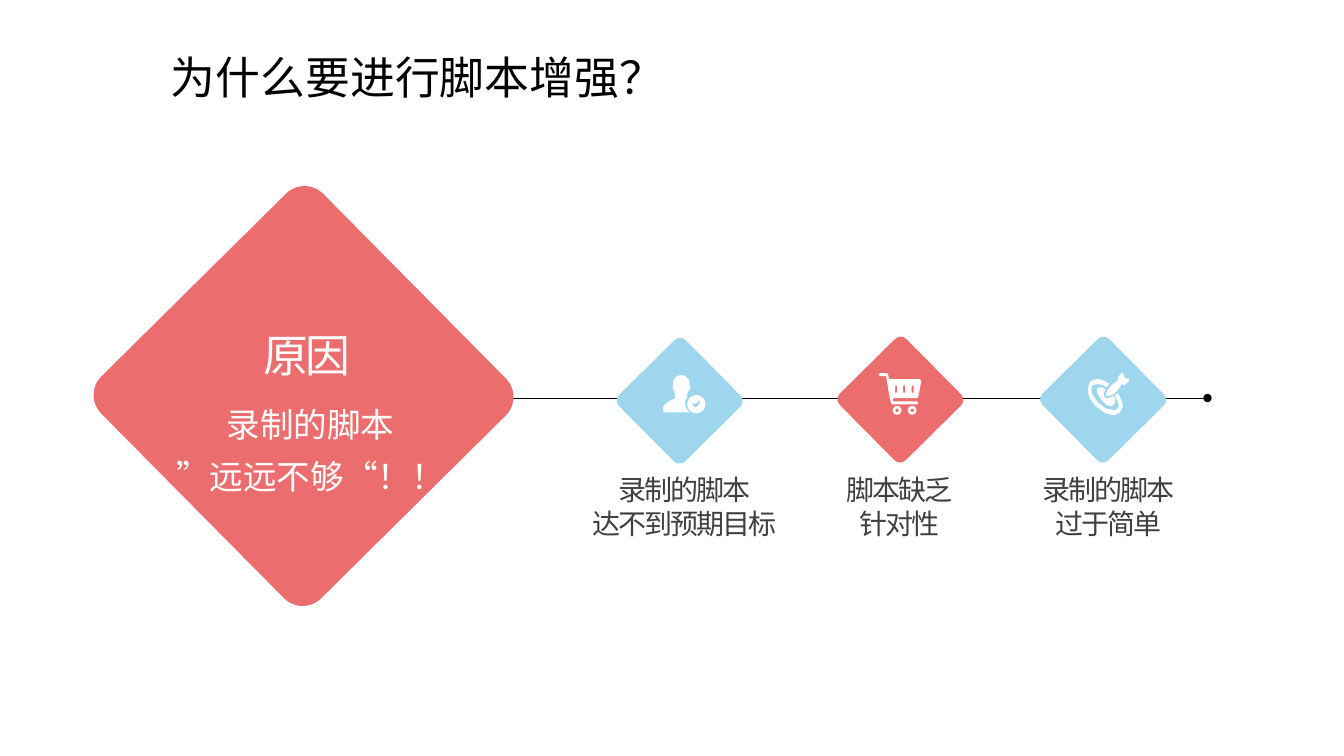
import math

import pptx
import pptx.dml.color
import pptx.enum.shapes
import pptx.enum.text
import pptx.oxml.ns
import pptx.util
from lxml import etree
from pptx.util import Cm, Pt

THEME = {
    "font": "Noto Sans CJK SC",
    "red": "EC6D6E", "blue": "9ED7ED", "white": "FFFFFF", "black": "000000", "grey": "404040",
    "title": 32, "statement": 24, "label": 20,
    "tight": -1.5, "corner": 0.084, "tilt": 45.3,
}


def circle(x, y, radius, steps=32):
    angles = [2 * math.pi * step / steps for step in range(steps)]
    return [(x + radius * math.cos(a), y + radius * math.sin(a)) for a in angles]


def slot(x):
    return [(x, 13), (x + 1, 12), (x + 2, 13), (x + 2, 19), (x + 1, 20), (x, 19)]


# Content: outlines are in hundredths of an inch from the icon's corner
USER = [
    [(36, 25), (32, 29), (30, 28), (29, 29), (30, 31), (32, 32), (34, 31), (37, 27)],
    circle(33, 29, 9),
    [(18, 0), (22, 1), (24, 3), (26, 5), (26.3, 10), (27, 11), (27, 14), (25, 16),
     (24, 19), (24, 22), (22, 25), (22, 29), (23, 33), (26, 37), (2, 37), (0, 36),
     (0, 32), (1, 30), (6, 26), (12, 23), (12, 19), (11, 16), (10, 14), (9.5, 11),
     (10, 10), (10, 6), (12, 3), (14, 1)],
]
CART = [
    *[circle(x, 37, radius) for x in (18, 33) for radius in (1.7, 4.3)],
    *[slot(x) for x in (16, 24, 32.5)],
    [(1, 0), (8, 0), (9, 1), (10, 6), (40, 6), (41.5, 7), (42, 8), (39, 24), (38, 25),
     (14, 25), (14, 28), (38, 28), (39, 29.5), (38, 31), (13, 31), (12, 30), (10, 21),
     (8, 8), (7, 3), (1, 3), (0, 1.5)],
]
TARGET = [
    [(13, 14), (18, 16), (16, 19), (16, 22), (17, 24), (20, 25), (26, 23), (27, 25),
     (27.5, 29), (26, 31), (24, 33), (19, 32), (14, 27), (10, 21), (9, 17), (10, 15)],
    [(9, 6), (15, 7), (22, 11), (21, 11), (19, 14), (14, 11.5), (9, 11), (5, 12),
     (3.5, 16), (5, 22), (11, 30), (18, 35), (26, 37), (29, 36), (31, 33), (30, 29),
     (27, 22), (30, 20), (34, 28), (35, 33), (32, 39), (26, 42), (18, 40), (8, 33),
     (2, 25), (0, 17), (2, 9), (5, 7)],
    [(35, 0), (37, 5), (41, 6), (41, 8), (37, 11.5), (36, 12), (34, 11), (29, 18),
     (25, 21.5), (20, 23), (18, 22), (19, 18), (23, 13), (30, 7), (30, 4), (34, 0)],
]
TITLE = "为什么要进行脚本增强？"
CAUSE = "原因"
STATEMENT = ["录制的脚本", "”远远不够“！！"]
REASONS = [
    {"lines": ["录制的脚本", "达不到预期目标"], "fill": "blue", "centre": (17.13, 10.1),
     "label": (17.25, 5.23), "icon": USER, "corner": (16.71, 9.45)},
    {"lines": ["脚本缺乏", "针对性"], "fill": "red", "centre": (22.69, 10.07),
     "label": (22.67, 4.09), "icon": CART, "corner": (22.15, 9.4)},
    {"lines": ["录制的脚本", "过于简单"], "fill": "blue", "centre": (27.8, 10.07),
     "label": (27.93, 4.55), "icon": TARGET, "corner": (27.41, 9.4)},
]


def colour(name):
    return pptx.dml.color.RGBColor.from_string(THEME[name])


def paint(shape, fill):
    shape.shadow.inherit = False
    shape.fill.solid()
    shape.fill.fore_color.rgb = colour(fill)
    shape.line.fill.background()


def add_text(page, lines, left, top, width, height, *, size, ink, centred=True,
             leading=None, spacing=None):
    box = page.shapes.add_textbox(Cm(left), Cm(top), Cm(width), Cm(height))
    frame = box.text_frame
    frame.word_wrap = True
    frame.auto_size = pptx.enum.text.MSO_AUTO_SIZE.SHAPE_TO_FIT_TEXT
    for index, line in enumerate(lines):
        para = frame.add_paragraph() if index else frame.paragraphs[0]
        if centred:
            para.alignment = pptx.enum.text.PP_ALIGN.CENTER
        if leading:
            para.line_spacing = leading
        span = para.add_run()
        span.text = line
        span.font.size = Pt(THEME[size])
        span.font.name = THEME["font"]
        span.font.color.rgb = colour(ink)
        properties = span._r.get_or_add_rPr()
        east_asian = etree.SubElement(properties, pptx.oxml.ns.qn("a:ea"))
        east_asian.set("typeface", THEME["font"])
        if spacing:
            properties.set("spc", str(round(spacing * 100)))


def add_diamond(page, centre, side, fill):
    x, y = centre
    diamond = page.shapes.add_shape(
        pptx.enum.shapes.MSO_SHAPE.ROUNDED_RECTANGLE,
        Cm(x - side / 2), Cm(y - side / 2), Cm(side), Cm(side))
    diamond.adjustments[0] = THEME["corner"]
    diamond.rotation = THEME["tilt"]
    paint(diamond, fill)


def add_icon(page, outlines, corner):
    left, top = corner
    placed = [[(Cm(left + x * 0.0254), Cm(top + y * 0.0254)) for x, y in outline]
              for outline in outlines]
    builder = page.shapes.build_freeform(*placed[0][0])
    for index, outline in enumerate(placed):
        if index:
            builder.move_to(*outline[0])
        builder.add_line_segments(outline[1:], close=True)
    paint(builder.convert_to_shape(), "white")


def add_timeline(page, start, end, y):
    line = page.shapes.add_connector(
        pptx.enum.shapes.MSO_CONNECTOR.STRAIGHT, Cm(start), Cm(y), Cm(end), Cm(y))
    line.line.color.rgb = colour("black")
    line.line.width = Pt(0.5)
    tail = etree.SubElement(line.line._get_or_add_ln(), pptx.oxml.ns.qn("a:tailEnd"))
    tail.set("type", "oval")
    etree.SubElement(line._element.spPr, pptx.oxml.ns.qn("a:effectLst"))


def main():
    deck = pptx.Presentation()
    deck.slide_width, deck.slide_height = Cm(33.87), Cm(19.05)
    page = deck.slides.add_slide(deck.slide_layouts[6])

    # Title and timeline
    add_text(page, [TITLE], 4.06, 1.12, 13.34, 1.63, size="title", ink="black", centred=False)
    add_timeline(page, 12.93, 30.43, 10.03)

    # Main cause
    add_diamond(page, (7.65, 9.98), 7.87, "red")
    add_text(page, STATEMENT, 3.66, 9.75, 8.33, 2.92,
             size="statement", ink="white", leading=1.3)
    add_text(page, [CAUSE], 4.85, 8.13, 5.77, 1.63,
             size="title", ink="white", spacing=THEME["tight"])

    # Three reasons
    for reason in REASONS:
        add_diamond(page, reason["centre"], 2.36, reason["fill"])
        middle, width = reason["label"]
        add_text(page, reason["lines"], middle - width / 2, 11.79, width, 1.96,
                 size="label", ink="grey", spacing=THEME["tight"])
        add_icon(page, reason["icon"], reason["corner"])

    deck.save("out.pptx")


if __name__ == "__main__":
    main()
